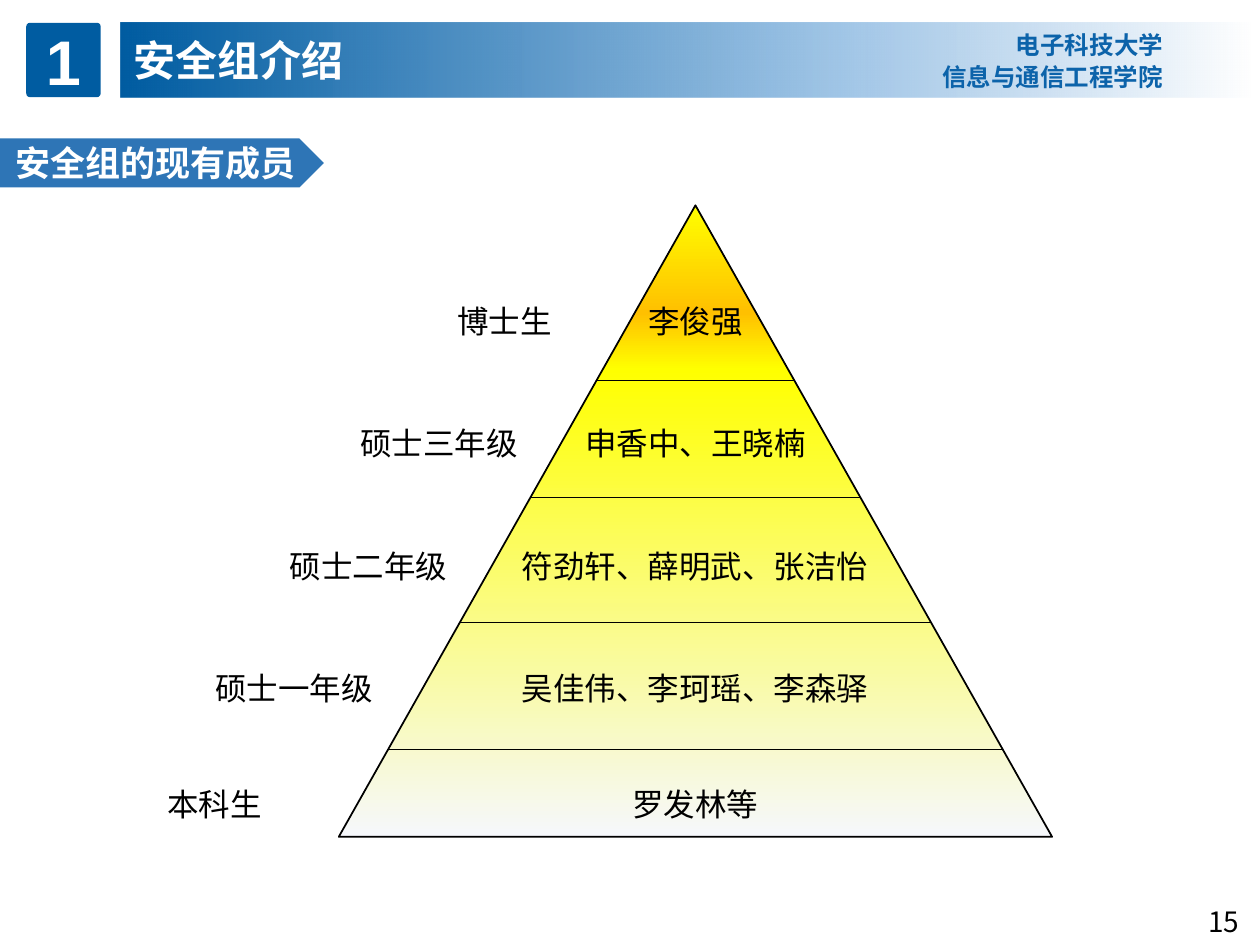
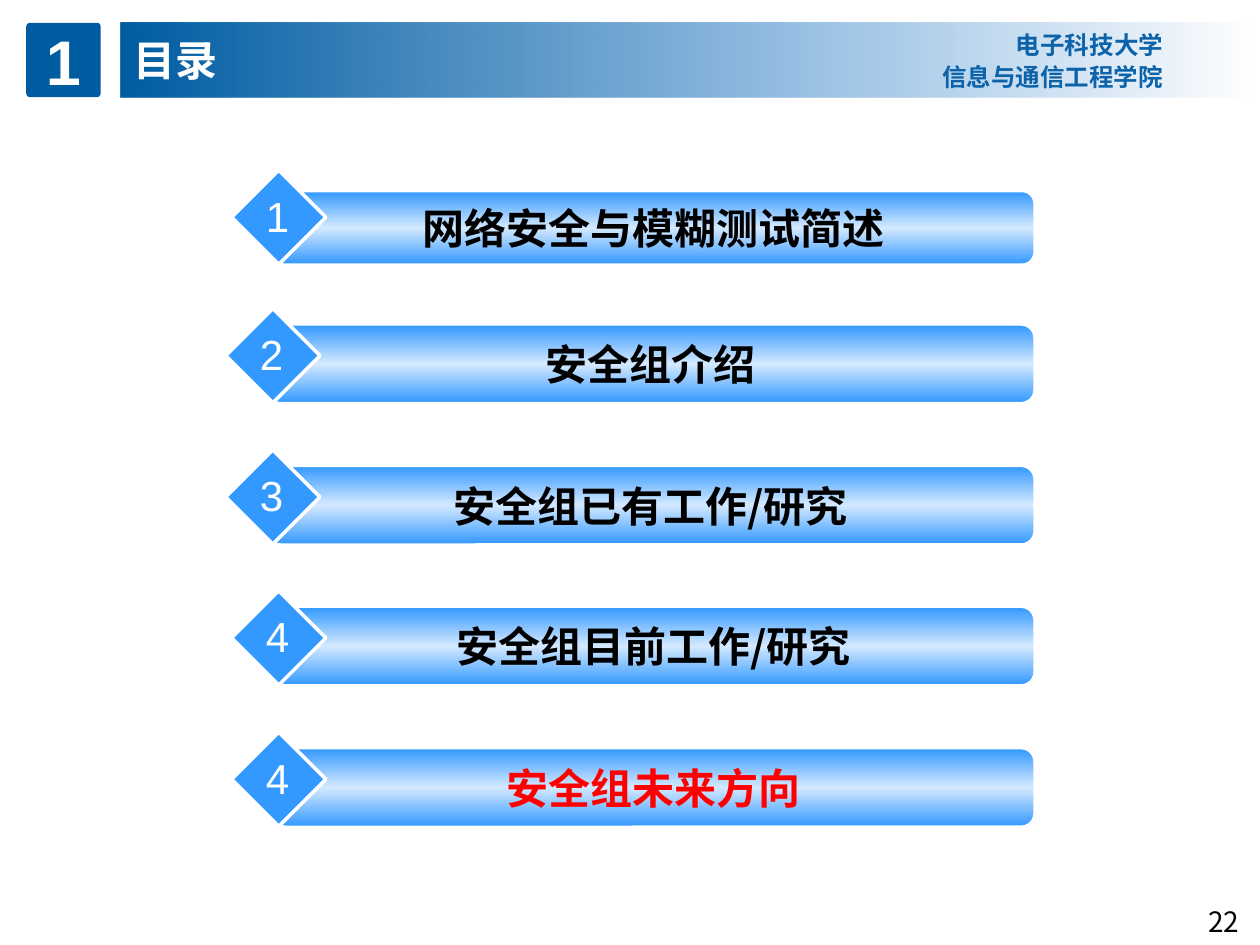
from lxml import etree
from pptx import Presentation
from pptx.dml.color import RGBColor
from pptx.enum.shapes import MSO_CONNECTOR, MSO_SHAPE
from pptx.enum.text import MSO_ANCHOR, PP_ALIGN
from pptx.oxml.ns import qn
from pptx.util import Cm, Pt

# Shared style
CJK, LATIN = "Noto Sans CJK SC", "Arial"
WHITE, BLACK, RED = "FFFFFF", "000000", "FF0000"
NAVY, SKY, ARROW, SCHOOL_BLUE = "005CA1", "3399FF", "2E75B6", "0C63AA"
BAND_STOPS = [(0, NAVY, 100), (64, "9CC3E6", 94), (100, WHITE, 100)]
BAR_STOPS = [(0, SKY, 100), (50, "D4E9FF", 100), (100, SKY, 100)]
PYRAMID_STOPS = [(0, "F6F8FC", 100), (74, "FFFF00", 100),
                 (83, "FFC000", 100), (100, "FFFF00", 100)]

# Pyramid: frame, divider heights, and levels as (left, top, grade, names)
PYRAMID = (6.83, 4.14, 14.38, 12.73)
DIVIDERS = [7.67, 10.03, 12.55, 15.11]
LEVELS = [
    (8.97, 5.96, "博士生", "李俊强"),
    (7.01, 8.43, "硕士三年级", "申香中、王晓楠"),
    (5.59, 10.9, "硕士二年级", "符劲轩、薛明武、张洁怡"),
    (4.09, 13.36, "硕士一年级", "吴佳伟、李珂瑶、李森驿"),
    (3.12, 15.7, "本科生", "罗发林等"),
]

# Contents: (diamond left, diamond top, bar height, number, title, colour)
TOPICS = [
    (4.67, 3.43, 1.47, "1", "网络安全与模糊测试简述", BLACK),
    (4.55, 6.22, 1.57, "2", "安全组介绍", BLACK),
    (4.55, 9.07, 1.57, "3", "安全组已有工作/研究", BLACK),
    (4.67, 11.91, 1.57, "4", "安全组目前工作/研究", BLACK),
    (4.67, 14.76, 1.57, "4", "安全组未来方向", RED),
]
DIAMOND, BAR_RIGHT = 1.9, 20.85


def rgb(hex_color):
    return RGBColor.from_string(hex_color)


def write(sp, lines, size, color, font=CJK, bold=False, align=PP_ALIGN.CENTER,
          anchor=MSO_ANCHOR.MIDDLE, wrap=True, spacing=None):
    """Fill a shape with one paragraph per line."""
    tf = sp.text_frame
    tf.word_wrap = wrap
    tf.vertical_anchor = anchor
    for i, line in enumerate(lines):
        p = tf.add_paragraph() if i else tf.paragraphs[0]
        p.alignment = align
        if spacing:
            p.line_spacing = spacing
        r = p.add_run()
        r.text = line
        r.font.size, r.font.bold = Pt(size), bold
        r.font.color.rgb = rgb(color)
        r.font.name = font
        ea = etree.SubElement(r.font._element, qn("a:ea"))
        ea.set("typeface", font)


def add_text(s, box, lines, size, color, **style):
    sp = s.shapes.add_textbox(*map(Cm, box))
    write(sp, lines, size, color, **style)


def set_gradient(sp, stops, angle):
    """Gradient of (position, colour, opacity) stops; angle runs clockwise."""
    sp.fill.gradient()
    grad = sp._element.spPr.find(qn("a:gradFill"))
    gs_list = grad.find(qn("a:gsLst"))
    for old in list(gs_list):
        gs_list.remove(old)
    for position, color, opacity in stops:
        gs = etree.SubElement(gs_list, qn("a:gs"), pos=str(position * 1000))
        clr = etree.SubElement(gs, qn("a:srgbClr"), val=color)
        if opacity < 100:
            etree.SubElement(clr, qn("a:alpha"), val=str(opacity * 1000))
    grad.find(qn("a:lin")).set("ang", str(angle * 60000))


def add_shape(s, kind, box, fill=None, stops=None, angle=0, line=None,
              width=1, radius=None):
    sp = s.shapes.add_shape(kind, *map(Cm, box))
    sp.shadow.inherit = False
    if radius is not None:
        sp.adjustments[0] = radius
    if stops:
        set_gradient(sp, stops, angle)
    else:
        sp.fill.solid()
        sp.fill.fore_color.rgb = rgb(fill)
    if line:
        sp.line.color.rgb = rgb(line)
        sp.line.width = Pt(width)
    else:
        sp.line.fill.background()
    return sp


def add_divider(s, x1, x2, y):
    line = s.shapes.add_connector(MSO_CONNECTOR.STRAIGHT,
                                  Cm(x1), Cm(y), Cm(x2), Cm(y))
    line.line.color.rgb = rgb(BLACK)
    line.line.width = Pt(1)
    etree.SubElement(line._element.spPr, qn("a:effectLst"))


def add_base_slide(prs, title, page):
    """Blank slide with page number, title band, school name and badge."""
    s = prs.slides.add_slide(prs.slide_layouts[6])
    add_text(s, (23.93, 18.11, 1.47, 0.94), [page], 16, BLACK,
             anchor=MSO_ANCHOR.TOP)
    band = add_shape(s, MSO_SHAPE.RECTANGLE, (2.44, 0.46, 22.76, 1.5),
                     stops=BAND_STOPS)
    write(band, [title], 24, WHITE, bold=True, align=PP_ALIGN.LEFT)
    add_text(s, (18.67, 0.43, 5.03, 1.52), ["电子科技大学", "信息与通信工程学院"],
             14, SCHOOL_BLUE, font="Karla", bold=True, align=PP_ALIGN.RIGHT,
             spacing=1.1)
    badge = add_shape(s, MSO_SHAPE.ROUNDED_RECTANGLE, (0.53, 0.46, 1.5, 1.5),
                      fill=NAVY, radius=0.05)
    write(badge, ["1"], 36, WHITE, font=LATIN, bold=True)
    return s


def add_label(s, left, top, text, center=None):
    """One-line label, starting at left or centred on center."""
    width = 0.635 * len(text) + 0.51
    if center is not None:
        left = center - width / 2
    add_text(s, (left, top, width, 1.02), [text], 18, BLACK, wrap=False,
             align=PP_ALIGN.LEFT, anchor=MSO_ANCHOR.TOP)


def add_pyramid(s):
    left, top, width, height = PYRAMID
    apex = left + width / 2
    add_shape(s, MSO_SHAPE.ISOSCELES_TRIANGLE, PYRAMID, stops=PYRAMID_STOPS,
              angle=270, line=BLACK)
    for y in DIVIDERS:
        half = width / 2 * (y - top) / height
        add_divider(s, apex - half, apex + half, y)
    for label_left, label_top, grade, names in LEVELS:
        add_label(s, label_left, label_top, grade)
        add_label(s, None, label_top, names, center=apex)


def add_topic(s, left, top, height, number, title, color):
    bar_left = left + 0.84
    bar = add_shape(s, MSO_SHAPE.ROUNDED_RECTANGLE,
                    (bar_left, top + DIAMOND - height, BAR_RIGHT - bar_left, height),
                    stops=BAR_STOPS, angle=90, line=WHITE, radius=0.167)
    write(bar, [title], 24, color, bold=True, wrap=False)
    add_shape(s, MSO_SHAPE.DIAMOND, (left, top, DIAMOND, DIAMOND),
              fill=SKY, line=WHITE, width=2)
    add_text(s, (left + 0.43, top + 0.28, 0.99, 1.27), [number], 24, WHITE,
             font=LATIN, wrap=False, anchor=MSO_ANCHOR.TOP)


def main():
    prs = Presentation()
    prs.slide_width, prs.slide_height = Cm(25.4), Cm(19.05)

    # Members
    s = add_base_slide(prs, "安全组介绍", "15")
    heading = add_shape(s, MSO_SHAPE.PENTAGON, (0, 2.79, 6.53, 0.99), fill=ARROW)
    write(heading, ["安全组的现有成员"], 20, WHITE, bold=True)
    add_pyramid(s)

    # Contents
    s = add_base_slide(prs, "目录", "22")
    for topic in TOPICS:
        add_topic(s, *topic)

    prs.save("out.pptx")


if __name__ == "__main__":
    main()
